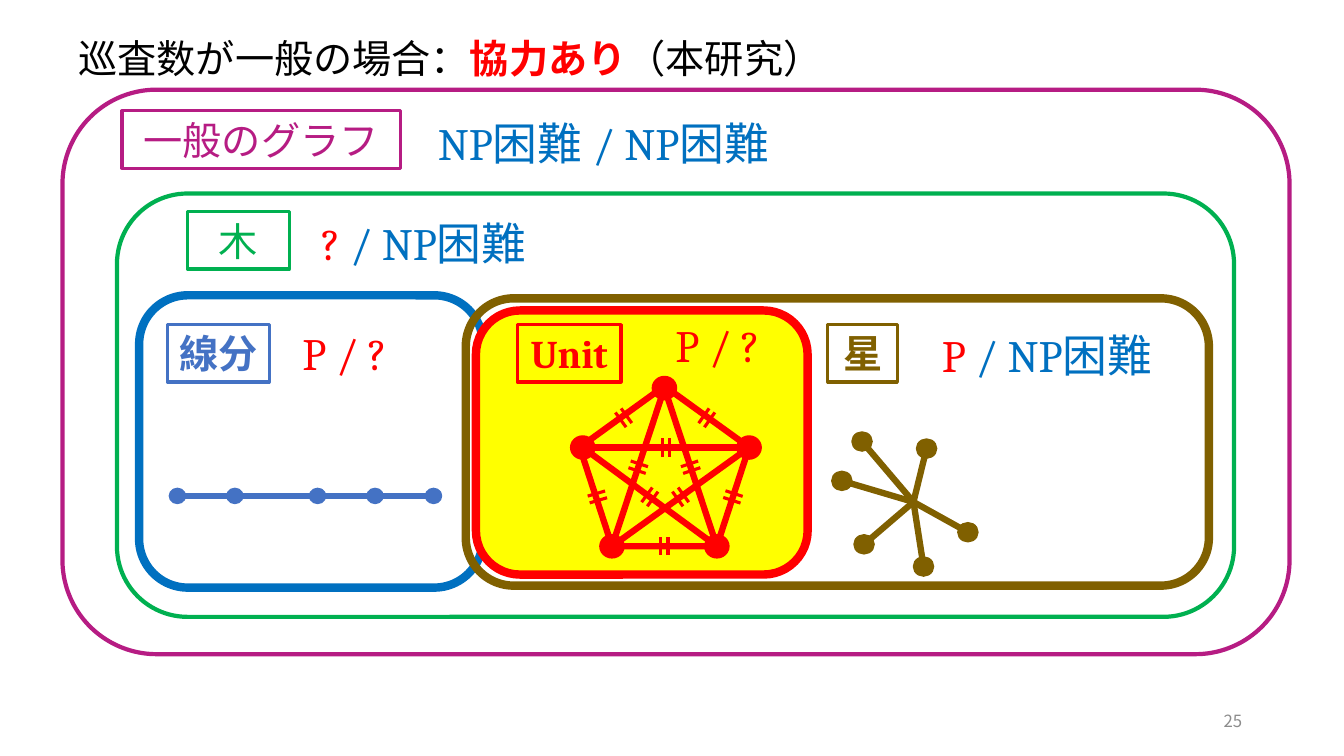
from dataclasses import dataclass
from itertools import combinations
from math import hypot

from lxml import etree
from pptx import Presentation
from pptx.dml.color import RGBColor
from pptx.enum.shapes import MSO_CONNECTOR, MSO_SHAPE
from pptx.enum.text import MSO_ANCHOR, PP_ALIGN
from pptx.oxml.ns import qn
from pptx.util import Inches, Pt

RECT, ROUNDED = MSO_SHAPE.RECTANGLE, MSO_SHAPE.ROUNDED_RECTANGLE
OVAL, PENTAGON = MSO_SHAPE.OVAL, MSO_SHAPE.REGULAR_PENTAGON
STRAIGHT = MSO_CONNECTOR.STRAIGHT
TOP, MIDDLE = MSO_ANCHOR.TOP, MSO_ANCHOR.MIDDLE
LEFT, CENTER, RIGHT = PP_ALIGN.LEFT, PP_ALIGN.CENTER, PP_ALIGN.RIGHT

BLACK = RGBColor(0x00, 0x00, 0x00)
GRAY = RGBColor(0x8C, 0x8C, 0x8C)
RED = RGBColor(0xFF, 0x00, 0x00)
YELLOW = RGBColor(0xFF, 0xFF, 0x00)
BLUE = RGBColor(0x00, 0x70, 0xC0)
SEGMENT_BLUE = RGBColor(0x44, 0x72, 0xC4)
BROWN = RGBColor(0x80, 0x60, 0x00)
GREEN = RGBColor(0x00, 0xB0, 0x50)
PURPLE = RGBColor(0xB6, 0x1C, 0x83)
GOTHIC, SERIF = "Noto Sans CJK JP", "Cambria"

Point = tuple[float, float]
Box = tuple[float, float, float, float]


@dataclass(frozen=True)
class Run:
    text: str
    color: RGBColor
    font: str = GOTHIC
    size: float = 32
    bold: bool = False


@dataclass(frozen=True)
class Region:
    box: Box
    color: RGBColor
    weight: float
    fill: RGBColor | None = None


@dataclass(frozen=True)
class Label:
    box: Box
    run: Run


@dataclass(frozen=True)
class Caption:
    box: Box
    runs: tuple[Run, ...]
    align: PP_ALIGN = CENTER
    anchor: MSO_ANCHOR = TOP
    wrap: bool = True


HARD = Run("困難", BLUE)
POLY_OPEN = (Run("P / ?", RED, SERIF),)
OR_NP = Run(" / NP", BLUE, SERIF)

REGIONS = [
    Region((1.38, 2.93, 3.41, 2.9), BLUE, 6),
    Region((4.62, 2.96, 7.37, 2.85), BROWN, 6),
    Region((4.72, 3.08, 3.29, 2.62), RED, 6, YELLOW),
    Region((0.62, 0.89, 12.17, 5.6), PURPLE, 3),
    Region((1.16, 1.92, 11.08, 4.2), GREEN, 3),
]
LABELS = [
    Label((1.66, 3.22, 1.01, 0.57), Run("線分", SEGMENT_BLUE, size=28, bold=True)),
    Label((1.21, 1.1, 2.76, 0.57), Run("一般のグラフ", PURPLE, size=28)),
    Label((1.86, 2.1, 1.01, 0.57), Run("木", GREEN, size=28)),
    Label((8.21, 3.22, 0.69, 0.57), Run("星", BROWN, size=28, bold=True)),
    Label((5.13, 3.22, 1.03, 0.57), Run("Unit", RED, SERIF, 28, True)),
]
CAPTIONS = [
    Caption((0.68, 0.29, 7.66, 0.57),
            (Run("巡査数が一般の場合：", BLACK, size=28),
             Run("協力あり", RED, size=28, bold=True),
             Run("（本研究）", BLACK, size=28)), LEFT, wrap=False),
    Caption((6.6, 3.1, 1.06, 0.64), POLY_OPEN, LEFT, wrap=False),
    Caption((2.9, 3.18, 1.06, 0.64), POLY_OPEN, LEFT, wrap=False),
    Caption((3.94, 1.1, 4.09, 0.64),
            (Run("NP", BLUE, SERIF), Run("困難 ", BLUE), Run("/ NP", BLUE, SERIF), HARD)),
    Caption((2.91, 2.09, 2.59, 0.64), (Run("?", RED, SERIF), OR_NP, HARD)),
    Caption((9.09, 3.2, 2.59, 0.64), (Run("P", RED, SERIF), OR_NP, HARD)),
    Caption((9.42, 6.95, 3, 0.4), (Run("25", GRAY, size=12),), RIGHT, MIDDLE),
]

# Graph vertices, the pentagon clockwise from its apex
UNIT_NODES = [(6.59, 3.85), (7.43, 4.44), (7.11, 5.42), (6.07, 5.42), (5.78, 4.44)]
UNIT_BOX = (5.75, 3.83, 1.68, 1.59)
STAR_HUB = (9.06, 4.98)
STAR_TIPS = [(8.55, 4.38), (9.19, 4.45), (9.6, 5.28), (9.16, 5.62), (8.57, 5.4), (8.35, 4.77)]
SEGMENT_Y = 4.92
SEGMENT_XS = [1.76, 2.33, 3.15, 3.72, 4.3]
TICK_HALF, TICK_OFFSET = 0.09, 0.035


def add_shape(slide, kind: MSO_SHAPE, box: Box, color: RGBColor, weight: float,
              fill: RGBColor | None = None):
    shape = slide.shapes.add_shape(kind, *map(Inches, box))
    shape.shadow.inherit = False
    shape.line.color.rgb = color
    shape.line.width = Pt(weight)
    if fill is None:
        shape.fill.background()
    else:
        shape.fill.solid()
        shape.fill.fore_color.rgb = fill
    return shape


def add_edge(slide, start: Point, end: Point, color: RGBColor, weight: float = 4.5) -> None:
    edge = slide.shapes.add_connector(STRAIGHT, *map(Inches, start + end))
    edge.line.color.rgb = color
    edge.line.width = Pt(weight)
    etree.SubElement(edge._element.spPr, qn("a:effectLst"))


def add_node(slide, center: Point, width: float, color: RGBColor) -> None:
    height = width - 0.01
    box = (center[0] - width / 2, center[1] - height / 2, width, height)
    add_shape(slide, OVAL, box, color, 1, color)


def add_ticks(slide, start: Point, end: Point, color: RGBColor) -> None:
    """Two short strokes across the middle of an edge, marking equal length."""
    dx, dy = end[0] - start[0], end[1] - start[1]
    length = hypot(dx, dy)
    ux, uy = dx / length, dy / length
    for offset in (-TICK_OFFSET, TICK_OFFSET):
        x = (start[0] + end[0]) / 2 + offset * ux
        y = (start[1] + end[1]) / 2 + offset * uy
        add_edge(slide, (x - TICK_HALF * uy, y + TICK_HALF * ux),
                 (x + TICK_HALF * uy, y - TICK_HALF * ux), color, 2.25)


def write_runs(shape, runs: tuple[Run, ...], align: PP_ALIGN, anchor: MSO_ANCHOR,
               wrap: bool = True) -> None:
    frame = shape.text_frame
    frame.word_wrap = wrap
    frame.vertical_anchor = anchor
    paragraph = frame.paragraphs[0]
    paragraph.alignment = align
    for item in runs:
        run = paragraph.add_run()
        run.text = item.text
        run.font.size = Pt(item.size)
        run.font.bold = item.bold
        run.font.color.rgb = item.color
        run.font.name = item.font
        etree.SubElement(run.font._element, qn("a:ea")).set("typeface", item.font)


def main() -> None:
    deck = Presentation()
    deck.slide_width, deck.slide_height = Inches(13.33), Inches(7.5)
    slide = deck.slides.add_slide(deck.slide_layouts[6])

    # Nested graph classes and their names
    for region in REGIONS:
        add_shape(slide, ROUNDED, region.box, region.color, region.weight, region.fill)
    for label in LABELS:
        frame = add_shape(slide, RECT, label.box, label.run.color, 2.25)
        write_runs(frame, (label.run,), CENTER, MIDDLE)

    # Complete graph with equal edges
    add_shape(slide, PENTAGON, UNIT_BOX, RED, 4.5)
    for (i, start), (j, end) in combinations(enumerate(UNIT_NODES), 2):
        if j - i in (2, 3):
            add_edge(slide, start, end, RED)
        add_ticks(slide, start, end, RED)
    for node in UNIT_NODES:
        add_node(slide, node, 0.24, RED)

    # Star graph
    for tip in STAR_TIPS:
        add_edge(slide, STAR_HUB, tip, BROWN)
        add_node(slide, tip, 0.2, BROWN)

    # Path graph
    add_edge(slide, (SEGMENT_XS[0], SEGMENT_Y), (SEGMENT_XS[-1], SEGMENT_Y), SEGMENT_BLUE)
    for x in SEGMENT_XS:
        add_node(slide, (x, SEGMENT_Y), 0.16, SEGMENT_BLUE)

    # Title, complexity results and page number
    for caption in CAPTIONS:
        textbox = slide.shapes.add_textbox(*map(Inches, caption.box))
        write_runs(textbox, caption.runs, caption.align, caption.anchor, caption.wrap)

    deck.save("out.pptx")


if __name__ == "__main__":
    main()
